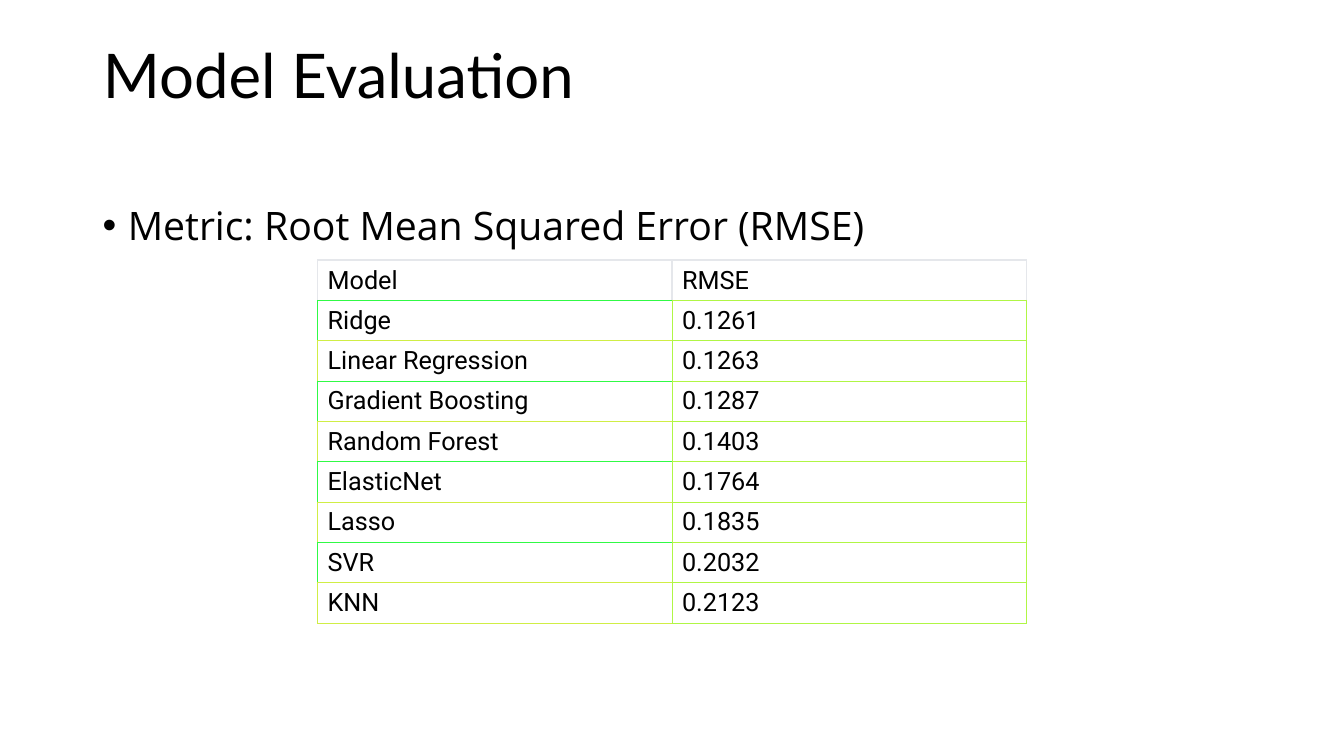
import pptx
import pptx.dml.color
import pptx.enum.text
import pptx.oxml
import pptx.oxml.ns
import pptx.util

Inches = pptx.util.Inches
Pt = pptx.util.Pt
ANCHOR = pptx.enum.text.MSO_ANCHOR

BLACK, GREY = "000000", "E5E7EB"
GREEN, YELLOW, LIME = "30FA45", "D0EE45", "B0F645"

SCORES = [
    ("Model", "RMSE"),
    ("Ridge", "0.1261"),
    ("Linear Regression", "0.1263"),
    ("Gradient Boosting", "0.1287"),
    ("Random Forest", "0.1403"),
    ("ElasticNet", "0.1764"),
    ("Lasso", "0.1835"),
    ("SVR", "0.2032"),
    ("KNN", "0.2123"),
]


def rgb(value):
    return pptx.dml.color.RGBColor.from_string(value)


def apply(obj, values):
    for name, value in values.items():
        setattr(obj, name, value)


def xml(tag, attrs="", inner=""):
    ns = pptx.oxml.ns.nsdecls("a")
    return pptx.oxml.parse_xml(f"<a:{tag} {ns} {attrs}>{inner}</a:{tag}>")


def cell_borders(row, col):
    accents = (YELLOW, GREEN)
    last = len(SCORES) - 1
    if row == 0:
        bottom = LIME if col else GREEN
        return {"L": (GREY, 1), "R": (GREY, 1), "T": (GREY, 1), "B": (bottom, 0.75)}
    if col:
        return {side: (LIME, 0.75) for side in "LRTB"}
    accent = accents[row % 2]
    bottom = accent if row == last else accents[(row + 1) % 2]
    return {"L": (accent, 0.75), "R": (LIME, 0.75),
            "T": (accent, 0.75), "B": (bottom, 0.75)}


class Deck:
    fonts = {
        "title": {"name": "Lato", "size": Pt(44), "bold": False},
        "body": {"name": "Open Sans", "size": Pt(28)},
        "table": {"name": "Roboto", "size": Pt(18), "bold": False},
    }

    def __init__(self, width, height):
        self.prs = pptx.Presentation()
        apply(self.prs, {"slide_width": Inches(width), "slide_height": Inches(height)})
        self.s = self.prs.slides.add_slide(self.prs.slide_layouts[5])

    def text(self, tf, text, style, **para):
        p = tf.paragraphs[0]
        apply(p, {"alignment": pptx.enum.text.PP_ALIGN.LEFT, **para})
        r = p.add_run()
        r.text = text
        apply(r.font, self.fonts[style])
        r.font.color.rgb = rgb(BLACK)
        return p

    def title(self, text, left, top, width, height):
        sp = self.s.shapes.title
        apply(sp, {"left": Inches(left), "top": Inches(top),
                   "width": Inches(width), "height": Inches(height)})
        apply(sp.text_frame, {"vertical_anchor": ANCHOR.TOP, "word_wrap": True,
                              "auto_size": pptx.enum.text.MSO_AUTO_SIZE.NONE})
        self.text(sp.text_frame, text, "title", line_spacing=0.9)

    def bullet(self, text, left, top, width, height):
        sp = self.s.shapes.add_textbox(*map(Inches, (left, top, width, height)))
        sp.text_frame.word_wrap = True
        p = self.text(sp.text_frame, text, "body", line_spacing=0.9, space_before=Pt(10))
        pPr = p._p.get_or_add_pPr()
        pPr.set("marL", str(Inches(0.25)))
        pPr.set("indent", str(Inches(-0.25)))
        pPr.append(xml("buFont", 'typeface="Arial"'))
        pPr.append(xml("buChar", 'char="•"'))

    def border(self, cell, side, color, width):
        fill = f'<a:solidFill><a:srgbClr val="{color}"/></a:solidFill>'
        line = xml(f"ln{side}", f'w="{Pt(width)}"', fill)
        cell._tc.get_or_add_tcPr().append(line)

    def table(self, data, left, top, width, row_height):
        box = map(Inches, (left, top, width, row_height * len(data)))
        table = self.s.shapes.add_table(len(data), len(data[0]), *box).table
        apply(table, {"first_row": False, "horz_banding": False})
        for i, values in enumerate(data):
            for j, text in enumerate(values):
                cell = table.cell(i, j)
                cell.vertical_anchor = ANCHOR.MIDDLE if i else ANCHOR.BOTTOM
                self.text(cell.text_frame, text, "table")
                for side, (color, weight) in cell_borders(i, j).items():
                    self.border(cell, side, color, weight)
                cell.fill.background()


def main():
    deck = Deck(13.33, 7.5)
    deck.title("Model Evaluation", 0.92, 0.4, 11.5, 1.45)
    deck.bullet("Metric: Root Mean Squared Error (RMSE)", 0.92, 2, 11.5, 4.76)
    deck.table(SCORES, 3.15, 2.58, 7.03, 0.39)
    deck.prs.save("out.pptx")


if __name__ == "__main__":
    main()
